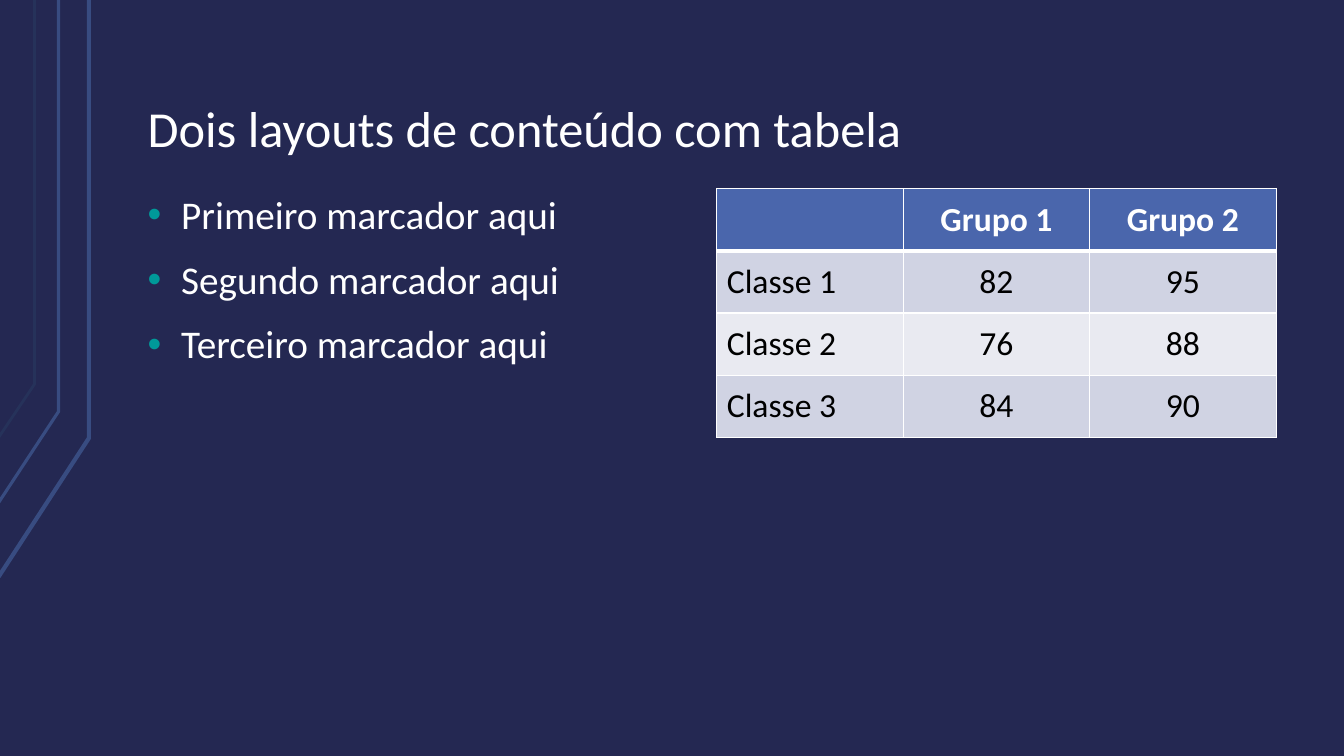
from pptx import Presentation
from pptx.dml.color import RGBColor
from pptx.enum.text import MSO_ANCHOR, MSO_AUTO_SIZE, PP_ALIGN
from pptx.oxml import parse_xml
from pptx.oxml.ns import nsdecls
from pptx.util import Pt

TITLE = "Dois layouts de conteúdo com tabela"
BULLETS = ["Primeiro marcador aqui", "Segundo marcador aqui", "Terceiro marcador aqui"]
TABLE = [
    ("", "Grupo 1", "Grupo 2"),
    ("Classe 1", "82", "95"),
    ("Classe 2", "76", "88"),
    ("Classe 3", "84", "90"),
]
ANGLED_LINES = [
    {"x": 63.5, "bend": 313, "end": 412, "color": "384C81", "width": 3},
    {"x": 41.8, "bend": 294, "end": 359, "color": "384C81", "width": 2.25},
    {"x": 24.6, "bend": 274.5, "end": 312.5, "color": "26325A", "width": 2},
]
THEME = {
    "font": "Calibri",
    "background": "242852",
    "light": "FFFFFF",
    "dark": "000000",
    "bullet": "009999",
    "header": "4A66AC",
    "bands": ("D0D3E3", "E9EAF1"),
    "title_size": 36,
    "body_size": 28,
    "table_size": 24,
}
SLIDE_WIDTH, SLIDE_HEIGHT = 960, 540
LEFT, CONTENT_TOP = 96, 134.64
COLUMN_WIDTH, TABLE_LEFT = 399.6, 512
CELL_WIDTH, ROW_HEIGHT = 133.2, 44.5
INDENT = 24


def apply_format(target, values):
    for name, value in values.items():
        setattr(target, name, value)


def format_font(font, size, color, bold=False):
    apply_format(font, {"name": THEME["font"], "size": Pt(size), "bold": bold})
    font.color.rgb = RGBColor.from_string(color)


def place(shape, left, top, width, height):
    box = {"left": left, "top": top, "width": width, "height": height}
    apply_format(shape, {name: Pt(value) for name, value in box.items()})


def format_frame(frame, anchor):
    apply_format(frame, {
        "word_wrap": True, "auto_size": MSO_AUTO_SIZE.NONE, "vertical_anchor": anchor,
        "margin_left": Pt(9.4), "margin_right": Pt(9.4),
        "margin_top": Pt(5), "margin_bottom": Pt(5),
    })


def add_angled_line(slide, x, bend, end, color, width):
    builder = slide.shapes.build_freeform(Pt(-1), Pt(end))
    builder.add_line_segments([(Pt(x), Pt(bend)), (Pt(x), Pt(0))], close=False)
    shape = builder.convert_to_shape()
    shape.shadow.inherit = False
    shape.fill.background()
    shape.line.color.rgb = RGBColor.from_string(color)
    shape.line.width = Pt(width)


def add_title(slide):
    title = slide.shapes.title
    place(title, LEFT, 21.6, 816, 96.5)
    format_frame(title.text_frame, MSO_ANCHOR.BOTTOM)
    title.text_frame.text = TITLE
    paragraph = title.text_frame.paragraphs[0]
    apply_format(paragraph, {"alignment": PP_ALIGN.LEFT, "line_spacing": 0.9})
    format_font(paragraph.runs[0].font, THEME["title_size"], THEME["light"])


def add_bullets(slide):
    body = slide.placeholders[1]
    place(body, LEFT, CONTENT_TOP, COLUMN_WIDTH, 351.4)
    frame = body.text_frame
    format_frame(frame, MSO_ANCHOR.TOP)
    frame.text = "\n".join(BULLETS)
    for paragraph in frame.paragraphs:
        apply_format(paragraph, {"line_spacing": 0.9, "space_before": Pt(16)})
        format_font(paragraph.runs[0].font, THEME["body_size"], THEME["light"])
        properties = paragraph._p.get_or_add_pPr()
        properties.set("marL", str(Pt(INDENT)))
        properties.set("indent", str(-Pt(INDENT)))
        for markup in (
            f'<a:buClr {nsdecls("a")}><a:srgbClr val="{THEME["bullet"]}"/></a:buClr>',
            f'<a:buFont {nsdecls("a")} typeface="Arial"/>',
            f'<a:buChar {nsdecls("a")} char="•"/>',
        ):
            properties.append(parse_xml(markup))


def add_borders(cell, top, bottom):
    properties = cell._tc.get_or_add_tcPr()
    widths = {"lnL": 1, "lnR": 1, "lnT": top, "lnB": bottom}
    for position, (side, width) in enumerate(widths.items()):
        properties.insert(position, parse_xml(
            f'<a:{side} {nsdecls("a")} w="{Pt(width)}"><a:solidFill>'
            f'<a:srgbClr val="{THEME["light"]}"/></a:solidFill></a:{side}>'
        ))


def add_scores(slide):
    rows, columns = len(TABLE), len(TABLE[0])
    table = slide.shapes.add_table(
        rows, columns, Pt(TABLE_LEFT), Pt(CONTENT_TOP),
        Pt(CELL_WIDTH * columns), Pt(ROW_HEIGHT * rows),
    ).table
    for column in table.columns:
        column.width = Pt(CELL_WIDTH)
    for row_index, values in enumerate(TABLE):
        table.rows[row_index].height = Pt(ROW_HEIGHT)
        header = row_index == 0
        fill = THEME["header"] if header else THEME["bands"][(row_index - 1) % 2]
        for column_index, value in enumerate(values):
            cell = table.cell(row_index, column_index)
            apply_format(cell, {"text": value, "vertical_anchor": MSO_ANCHOR.MIDDLE})
            cell.fill.solid()
            cell.fill.fore_color.rgb = RGBColor.from_string(fill)
            add_borders(cell, 3 if row_index == 1 else 1, 3 if header else 1)
            paragraph = cell.text_frame.paragraphs[0]
            paragraph.alignment = PP_ALIGN.CENTER if column_index else PP_ALIGN.LEFT
            color = THEME["light"] if header else THEME["dark"]
            format_font(paragraph.font, THEME["table_size"], color, header)
            for run in paragraph.runs:
                format_font(run.font, THEME["table_size"], color, header)


def main():
    presentation = Presentation()
    apply_format(presentation, {
        "slide_width": Pt(SLIDE_WIDTH), "slide_height": Pt(SLIDE_HEIGHT),
    })
    slide = presentation.slides.add_slide(presentation.slide_layouts[1])
    slide.background.fill.solid()
    slide.background.fill.fore_color.rgb = RGBColor.from_string(THEME["background"])
    for line in ANGLED_LINES:
        add_angled_line(slide, **line)
    add_title(slide)
    add_bullets(slide)
    add_scores(slide)
    presentation.save("out.pptx")


if __name__ == "__main__":
    main()
